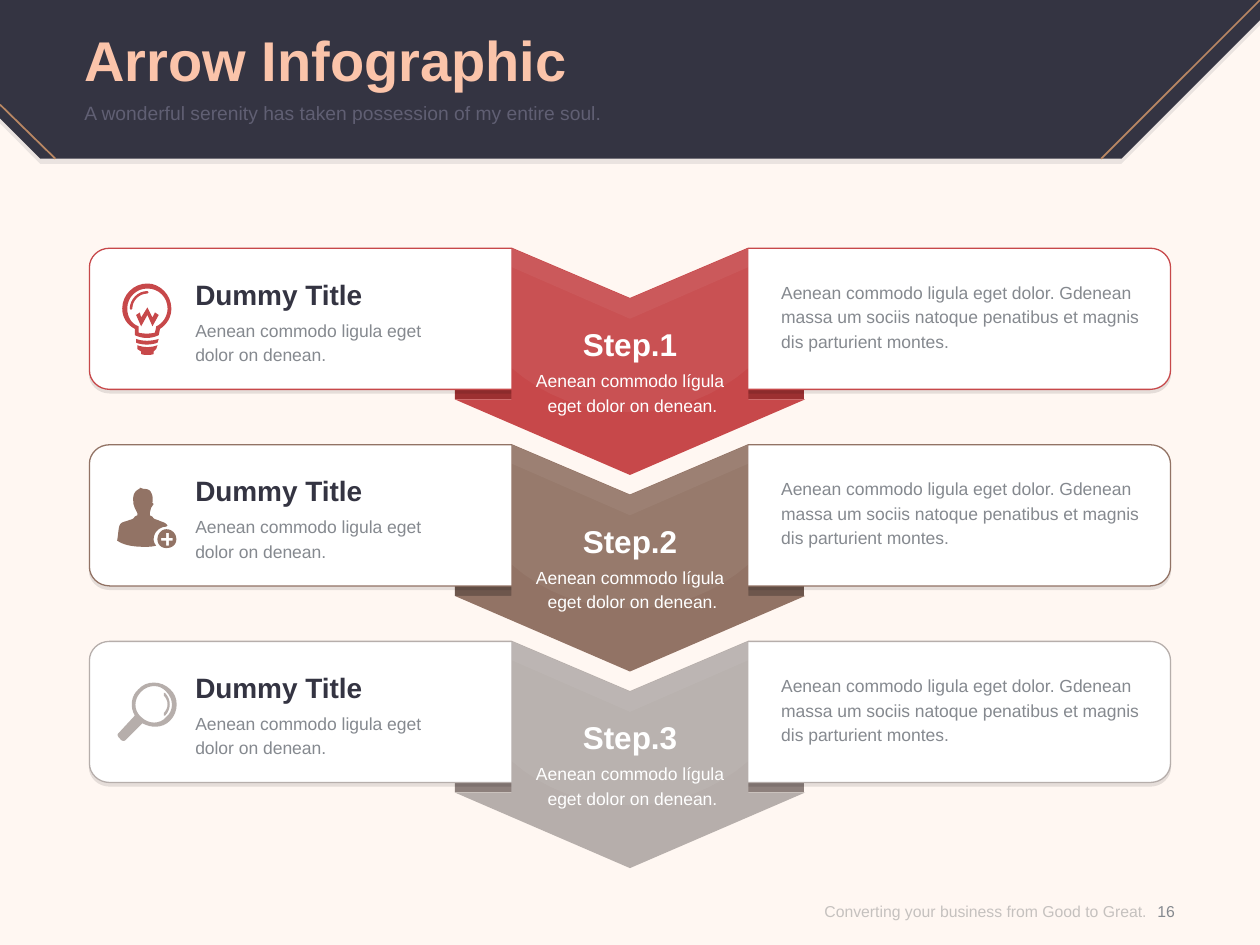
"""Builds the three-step arrow infographic slide."""
from lxml import etree
from pptx import Presentation
from pptx.dml.color import RGBColor
from pptx.enum.shapes import MSO_CONNECTOR, MSO_SHAPE
from pptx.enum.text import MSO_ANCHOR, PP_ALIGN
from pptx.oxml.ns import qn
from pptx.util import Inches, Pt

LEFT, CENTER, RIGHT = PP_ALIGN.LEFT, PP_ALIGN.CENTER, PP_ALIGN.RIGHT
TOP, MIDDLE = MSO_ANCHOR.TOP, MSO_ANCHOR.MIDDLE
STRAIGHT, RECTANGLE = MSO_CONNECTOR.STRAIGHT, MSO_SHAPE.RECTANGLE

CREAM = RGBColor(0xFF, 0xF7, 0xF2)
NAVY = RGBColor(0x34, 0x34, 0x42)
PEACH = RGBColor(0xFB, 0xC4, 0xAA)
BRONZE = RGBColor(0xB9, 0x87, 0x63)
SLATE = RGBColor(0x60, 0x5F, 0x73)
GRAY = RGBColor(0x85, 0x89, 0x8F)
FOOTER_GRAY = RGBColor(0x8C, 0x8C, 0x8C)
WHITE = RGBColor(0xFF, 0xFF, 0xFF)
RED = RGBColor(0xC7, 0x48, 0x4A)
DARK_RED = RGBColor(0x9C, 0x30, 0x31)
BROWN = RGBColor(0x92, 0x73, 0x65)
DARK_BROWN = RGBColor(0x6D, 0x56, 0x4C)
SILVER = RGBColor(0xB6, 0xAE, 0xAB)
DARK_SILVER = RGBColor(0x8D, 0x80, 0x7C)

HEADER = [(8.9, 1.26), (0.32, 1.26), (0, 0.94), (0, 0), (10, 0), (10, 0.16)]
PANEL = [
    (9.29, 0.97), (9.29, 0.15), (9.29, 0.07, 9.22, 0, 9.13, 0),
    (5.94, 0), (5, 0.4), (4.06, 0),
    (0.87, 0), (0.78, 0, 0.71, 0.07, 0.71, 0.15),
    (0.71, 0.97), (0.71, 1.05, 0.78, 1.12, 0.87, 1.12),
    (9.13, 1.12), (9.22, 1.12, 9.29, 1.05, 9.29, 0.97),
]
ARROW = [(6.39, 1.2), (5.94, 1.2), (5.94, 0), (5, 0.4), (4.06, 0),
         (4.06, 1.2), (3.61, 1.2), (5, 1.8)]
GLOW = [(5.94, 0.95), (5.94, 0), (5, 0.4), (4.06, 0), (4.06, 0.95),
        (4.31, 1.17, 4.64, 1.3, 5, 1.3), (5.36, 1.3, 5.69, 1.17, 5.94, 0.95)]
CHEVRON = [(5.94, 0.15), (5.94, 0), (5, 0.4), (4.06, 0), (4.06, 0.15), (5, 0.56)]

BULB = [
    [(1.17, 0.28), (1.06, 0.28, 0.97, 0.37, 0.97, 0.48),
     (0.97, 0.55, 1.01, 0.61, 1.07, 0.64), (1.07, 0.69),
     (1.13, 0.72, 1.2, 0.72, 1.26, 0.69), (1.27, 0.64),
     (1.32, 0.61, 1.36, 0.55, 1.36, 0.48), (1.36, 0.37, 1.27, 0.28, 1.17, 0.28)],
    [(1.24, 0.62), (1.23, 0.67), (1.2, 0.68, 1.13, 0.68, 1.1, 0.67), (1.1, 0.62),
     (1.04, 0.6, 1.01, 0.54, 1.01, 0.48), (1.01, 0.39, 1.08, 0.32, 1.17, 0.32),
     (1.26, 0.32, 1.33, 0.39, 1.33, 0.48), (1.33, 0.54, 1.29, 0.6, 1.24, 0.62)],
    [(1.08, 0.72), (1.08, 0.75), (1.13, 0.77, 1.2, 0.77, 1.25, 0.75),
     (1.26, 0.72), (1.2, 0.74, 1.13, 0.74, 1.08, 0.72)],
    [(1.09, 0.77), (1.09, 0.8), (1.12, 0.82), (1.12, 0.84),
     (1.14, 0.85, 1.2, 0.85, 1.22, 0.84), (1.22, 0.82), (1.24, 0.8),
     (1.25, 0.77), (1.2, 0.79, 1.14, 0.79, 1.09, 0.77)],
    [(1.21, 0.55), (1.17, 0.47), (1.12, 0.55), (1.11, 0.51), (1.08, 0.53),
     (1.12, 0.62), (1.17, 0.53), (1.21, 0.62), (1.26, 0.53), (1.23, 0.51)],
    [(1.17, 0.36), (1.18, 0.35), (1.17, 0.34), (1.09, 0.34, 1.03, 0.41, 1.03, 0.48),
     (1.04, 0.49), (1.05, 0.48), (1.05, 0.42, 1.1, 0.36, 1.17, 0.36)],
]
PERSON = [
    [(1.32, 0.65), (1.33, 0.64), (1.31, 0.61, 1.27, 0.61, 1.26, 0.6),
     (1.23, 0.59, 1.22, 0.59, 1.21, 0.57), (1.19, 0.56), (1.19, 0.54),
     (1.2, 0.5), (1.22, 0.47), (1.21, 0.46), (1.21, 0.46, 1.22, 0.41, 1.2, 0.38),
     (1.19, 0.35, 1.15, 0.35, 1.14, 0.35), (1.11, 0.34),
     (1.12, 0.35, 1.09, 0.35, 1.07, 0.38), (1.05, 0.41, 1.06, 0.46, 1.06, 0.46),
     (1.06, 0.47), (1.07, 0.5), (1.09, 0.54), (1.09, 0.56), (1.07, 0.57),
     (1.06, 0.59, 1.05, 0.59, 1.02, 0.6), (1, 0.61, 0.96, 0.61, 0.95, 0.64),
     (0.94, 0.66, 0.94, 0.71, 0.93, 0.76), (0.97, 0.79, 1.04, 0.81, 1.14, 0.81),
     (1.18, 0.81, 1.21, 0.81, 1.24, 0.8), (1.23, 0.79, 1.22, 0.77, 1.22, 0.75),
     (1.22, 0.69, 1.27, 0.65, 1.32, 0.65)],
    [(1.32, 0.67), (1.28, 0.67, 1.25, 0.71, 1.25, 0.75),
     (1.25, 0.79, 1.28, 0.82, 1.32, 0.82), (1.37, 0.82, 1.4, 0.79, 1.4, 0.75),
     (1.4, 0.71, 1.37, 0.67, 1.32, 0.67)],
    [(1.37, 0.76), (1.34, 0.76), (1.34, 0.8), (1.32, 0.8), (1.32, 0.76), (1.28, 0.76),
     (1.28, 0.74), (1.32, 0.74), (1.32, 0.7), (1.34, 0.7), (1.34, 0.74), (1.37, 0.74)],
]
MAGNIFIER = [
    [(1.35, 0.38), (1.28, 0.31, 1.16, 0.31, 1.1, 0.38),
     (1.04, 0.43, 1.03, 0.52, 1.07, 0.59), (0.94, 0.73),
     (0.94, 0.73, 0.92, 0.74, 0.95, 0.77), (0.98, 0.81, 1, 0.78, 1, 0.78),
     (1.13, 0.65), (1.2, 0.69, 1.29, 0.69, 1.35, 0.63),
     (1.42, 0.56, 1.42, 0.44, 1.35, 0.38)],
    [(1.32, 0.6), (1.27, 0.66, 1.18, 0.66, 1.12, 0.6),
     (1.06, 0.55, 1.06, 0.46, 1.12, 0.4), (1.18, 0.34, 1.27, 0.34, 1.32, 0.4),
     (1.38, 0.46, 1.38, 0.55, 1.32, 0.6)],
    [(1.31, 0.41), (1.3, 0.41), (1.3, 0.43), (1.34, 0.47, 1.34, 0.53, 1.3, 0.57),
     (1.3, 0.59), (1.31, 0.59), (1.36, 0.54, 1.36, 0.46, 1.31, 0.41)],
]
STEPS = [(RED, DARK_RED, BULB), (BROWN, DARK_BROWN, PERSON),
         (SILVER, DARK_SILVER, MAGNIFIER)]
ROW_TOP, ROW_PITCH, CURVE_PARTS = 1.97, 1.56, 8

deck = Presentation()
deck.slide_width, deck.slide_height = Inches(10), Inches(7.5)
page = deck.slides.add_slide(deck.slide_layouts[6])
page.background.fill.solid()
page.background.fill.fore_color.rgb = CREAM


def add_outline(contours, top, color, opacity=100):
    """Fill closed contours; pairs are corners, six numbers are a cubic curve."""
    builder = None
    for contour in contours:
        points = [contour[0]]
        for node in contour[1:]:
            if len(node) == 2:
                points.append(node)
                continue
            controls = [points[-1], node[:2], node[2:4], node[4:]]
            for part in range(1, CURVE_PARTS + 1):
                t = part / CURVE_PARTS
                weights = ((1 - t) ** 3, 3 * t * (1 - t) ** 2, 3 * t * t * (1 - t), t ** 3)
                points.append(tuple(sum(w * c[axis] for w, c in zip(weights, controls))
                                    for axis in (0, 1)))
        points = [(Inches(x), Inches(top + y)) for x, y in points]
        if builder is None:
            builder = page.shapes.build_freeform(*points[0])
        else:
            builder.move_to(*points[0])
        builder.add_line_segments(points[1:], close=True)
    shape = builder.convert_to_shape()
    shape.shadow.inherit = False
    shape.fill.solid()
    shape.fill.fore_color.rgb = color
    shape.line.fill.background()
    if opacity < 100:
        tone = shape._element.spPr.find(".//" + qn("a:srgbClr"))
        etree.SubElement(tone, qn("a:alpha"), val=str(opacity * 1000))
    return shape


def add_label(lines, left, top, width, height, size, color, align=LEFT,
              bold=False, anchor=TOP, spacing=None):
    """Add a text box without margins, one paragraph per line."""
    box = page.shapes.add_textbox(Inches(left), Inches(top), Inches(width), Inches(height))
    frame = box.text_frame
    frame.word_wrap = True
    frame.vertical_anchor = anchor
    frame.margin_left = frame.margin_top = frame.margin_right = frame.margin_bottom = 0
    frame.text = "\n".join(lines)
    for para in frame.paragraphs:
        para.alignment = align
        para.line_spacing = spacing
        para.font.name, para.font.size, para.font.bold = "Arial", Pt(size), bold
        para.font.color.rgb = color
    return box


add_outline([HEADER], 0.04, NAVY, 10)
add_outline([HEADER], 0, NAVY)
for ends in ((10, 0, 8.74, 1.26), (0.44, 1.26, 0, 0.83)):
    accent = page.shapes.add_connector(STRAIGHT, *map(Inches, ends))
    accent.line.color.rgb = BRONZE
    accent.line.width = Pt(1)
    etree.SubElement(accent._element.spPr, qn("a:effectLst"))

add_label(["Arrow Infographic"], 0.67, 0.14, 8.66, 0.65, 32, PEACH, bold=True, anchor=MIDDLE)
add_label(["A wonderful serenity has taken possession of my entire soul."],
          0.67, 0.8, 8.66, 0.39, 11, SLATE)

for index, (color, fold_color, icon) in enumerate(STEPS):
    top = ROW_TOP + index * ROW_PITCH
    fold = page.shapes.add_shape(RECTANGLE, Inches(3.61), Inches(top + 1.12),
                                 Inches(2.77), Inches(0.08))
    fold.shadow.inherit = False
    fold.fill.solid()
    fold.fill.fore_color.rgb = fold_color
    fold.line.fill.background()

    panel = add_outline([PANEL], top, WHITE)
    panel.line.color.rgb = color
    panel.line.width = Pt(0.75)
    effects = panel._element.spPr.find(qn("a:effectLst"))
    shadow = etree.SubElement(effects, qn("a:outerShdw"), blurRad="0",
                              dist=str(Pt(2)), dir="5400000", algn="t", rotWithShape="0")
    shade = etree.SubElement(shadow, qn("a:srgbClr"), val="000000")
    etree.SubElement(shade, qn("a:alpha"), val="10000")

    add_outline([ARROW], top, color)
    add_outline([GLOW], top, WHITE, 5)
    add_outline([CHEVRON], top, WHITE, 5)
    add_outline(icon, top, color)

    add_label(["Aenean commodo ligula eget", "dolor on denean."],
              1.55, top + 0.54, 2.26, 0.41, 10, GRAY, spacing=Pt(14))
    add_label(["Dummy Title"], 1.55, top + 0.23, 2.26, 0.27, 16, NAVY, bold=True)
    add_label(["Aenean commodo ligula eget dolor. Gdenean massa um sociis natoque "
               "penatibus et magnis dis parturient montes."],
              6.2, top + 0.24, 2.95, 0.63, 10, GRAY, spacing=Pt(14))
    add_label([f"Step.{index + 1}"], 4.44, top + 0.61, 1.12, 0.35, 18, WHITE, CENTER, bold=True)
    add_label(["Aenean commodo lígula", " eget dolor on denean."],
              3.87, top + 0.94, 2.26, 0.41, 10, WHITE, CENTER, spacing=Pt(14))

footer = add_label(["Converting your business from Good to Great."],
                   6.04, 6.96, 3.06, 0.54, 9, FOOTER_GRAY, RIGHT, anchor=MIDDLE)
footer_tone = footer._element.find(".//" + qn("a:srgbClr"))
etree.SubElement(footer_tone, qn("a:alpha"), val="50000")
add_label(["16"], 9.02, 6.96, 0.47, 0.54, 9, GRAY, CENTER, anchor=MIDDLE)

deck.save("out.pptx")
